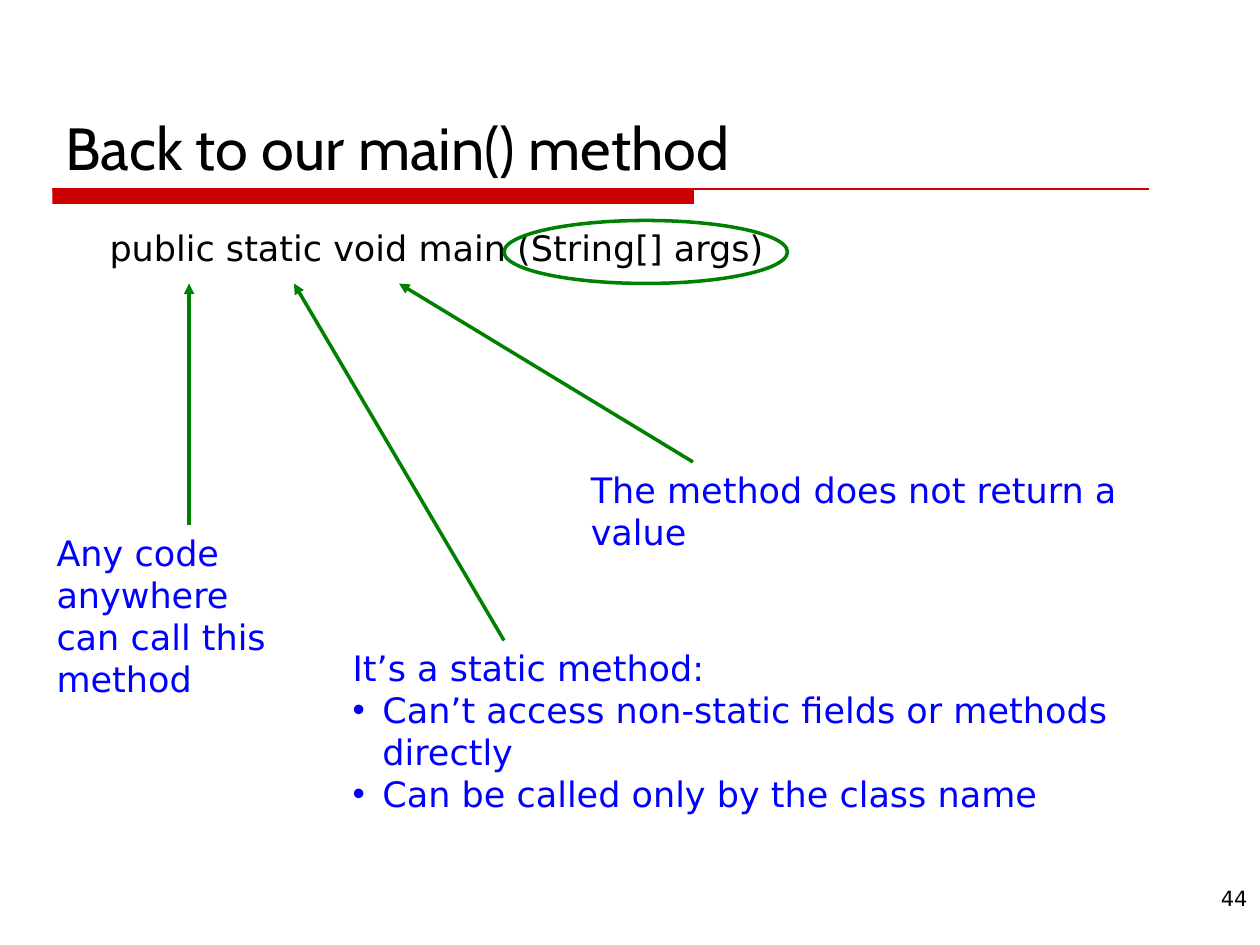
from lxml import etree
from pptx import Presentation
from pptx.dml.color import RGBColor
from pptx.enum.shapes import MSO_CONNECTOR, MSO_SHAPE
from pptx.enum.text import MSO_ANCHOR, MSO_AUTO_SIZE, PP_ALIGN
from pptx.oxml.ns import qn
from pptx.util import Pt

LEFT, RIGHT = PP_ALIGN.LEFT, PP_ALIGN.RIGHT
STRAIGHT = MSO_CONNECTOR.STRAIGHT
BLACK, BLUE, GREEN, RED = "000000", "0000FF", "008000", "CC0000"
TITLE_FONT, BODY_FONT = "Cabin", "DejaVu Sans"
BULLET_INDENT = 17

TITLE = "Back to our main() method"
SIGNATURE = "public static void main (String[] args)"
SLIDE_NUMBER = "44"

# Each note: box (left, top, width, height), lines, bullets,
# then where its arrow starts (on the top of the box) and the keyword it reaches
NOTES = [
    ((25.2, 300, 203, 56), ["Any code anywhere", "can call this method"], [], 108, 108),
    ((194.4, 366, 478, 79), ["It’s a static method:"],
     ["Can’t access non-static fields or methods directly",
      "Can be called only by the class name"], 288, 168),
    ((330.5, 264, 353, 32), ["The method does not return a value"], [], 396, 228),
]
KEYWORD_Y = 162
ARGS_OVAL = (288, 126, 162, 36)
TITLE_BOX = (30, 12, 648, 96)
SIGNATURE_BOX = (55.5, 126, 480, 36)
NUMBER_BOX = (666, 502.5, 54, 37.5)
RULE_Y, RULE_LEFT, RULE_RIGHT = 108, 30, 656.5
BAR_WIDTH, BAR_HEIGHT = 366.5, 8.5


def rgb(color):
    return RGBColor.from_string(color)


def pts(lengths):
    return [Pt(length) for length in lengths]


def write(frame, lines, size=20, color=BLACK, font=BODY_FONT, align=LEFT,
          anchor=MSO_ANCHOR.TOP):
    settings = {"word_wrap": True, "auto_size": MSO_AUTO_SIZE.NONE, "vertical_anchor": anchor}
    for key, value in settings.items():
        setattr(frame, key, value)
    frame.text = "\n".join(lines)
    for paragraph in frame.paragraphs:
        paragraph.alignment = align
        for key, value in {"size": Pt(size), "name": font}.items():
            setattr(paragraph.runs[0].font, key, value)
        paragraph.runs[0].font.color.rgb = rgb(color)


def add_text(slide, box, lines, **style):
    frame = slide.shapes.add_textbox(*pts(box)).text_frame
    write(frame, lines, **style)
    return frame


def add_bullet(paragraph):
    properties = paragraph._p.get_or_add_pPr()
    properties.set("marL", str(Pt(BULLET_INDENT)))
    properties.set("indent", str(-Pt(BULLET_INDENT)))
    etree.SubElement(properties, qn("a:buFont"), typeface="Arial")
    etree.SubElement(properties, qn("a:buChar"), char="•")


def add_line(slide, start, end, color, width, arrow=False):
    connector = slide.shapes.add_connector(STRAIGHT, *pts(start + end))
    connector.line.color.rgb = rgb(color)
    connector.line.width = Pt(width)
    if arrow:
        etree.SubElement(connector.line._get_or_add_ln(), qn("a:tailEnd"), type="triangle")
    etree.SubElement(connector._element.spPr, qn("a:effectLst"))


def main():
    prs = Presentation()
    prs.slide_width, prs.slide_height = Pt(720), Pt(540)
    slide = prs.slides.add_slide(prs.slide_layouts[5])

    bar = slide.shapes.add_shape(
        MSO_SHAPE.RECTANGLE, *pts((RULE_LEFT, RULE_Y, BAR_WIDTH, BAR_HEIGHT)))
    bar.shadow.inherit = False
    bar.fill.solid()
    bar.fill.fore_color.rgb = rgb(RED)
    bar.line.fill.background()
    add_line(slide, (RULE_LEFT, RULE_Y), (RULE_RIGHT, RULE_Y), RED, 0.75)

    title = slide.shapes.title
    for side, length in zip(("left", "top", "width", "height"), pts(TITLE_BOX)):
        setattr(title, side, length)
    write(title.text_frame, [TITLE], size=34, font=TITLE_FONT, anchor=MSO_ANCHOR.BOTTOM)

    add_text(slide, NUMBER_BOX, [SLIDE_NUMBER], size=12, align=RIGHT)
    add_text(slide, SIGNATURE_BOX, [SIGNATURE])

    for box, lines, bullets, arrow_x, keyword_x in NOTES:
        frame = add_text(slide, box, lines + bullets, color=BLUE)
        for paragraph in frame.paragraphs[len(lines):]:
            add_bullet(paragraph)
        add_line(slide, (arrow_x, box[1]), (keyword_x, KEYWORD_Y), GREEN, 2, arrow=True)

    oval = slide.shapes.add_shape(MSO_SHAPE.OVAL, *pts(ARGS_OVAL))
    oval.shadow.inherit = False
    oval.fill.background()
    oval.line.color.rgb = rgb(GREEN)
    oval.line.width = Pt(2)

    prs.save("out.pptx")


if __name__ == "__main__":
    main()
